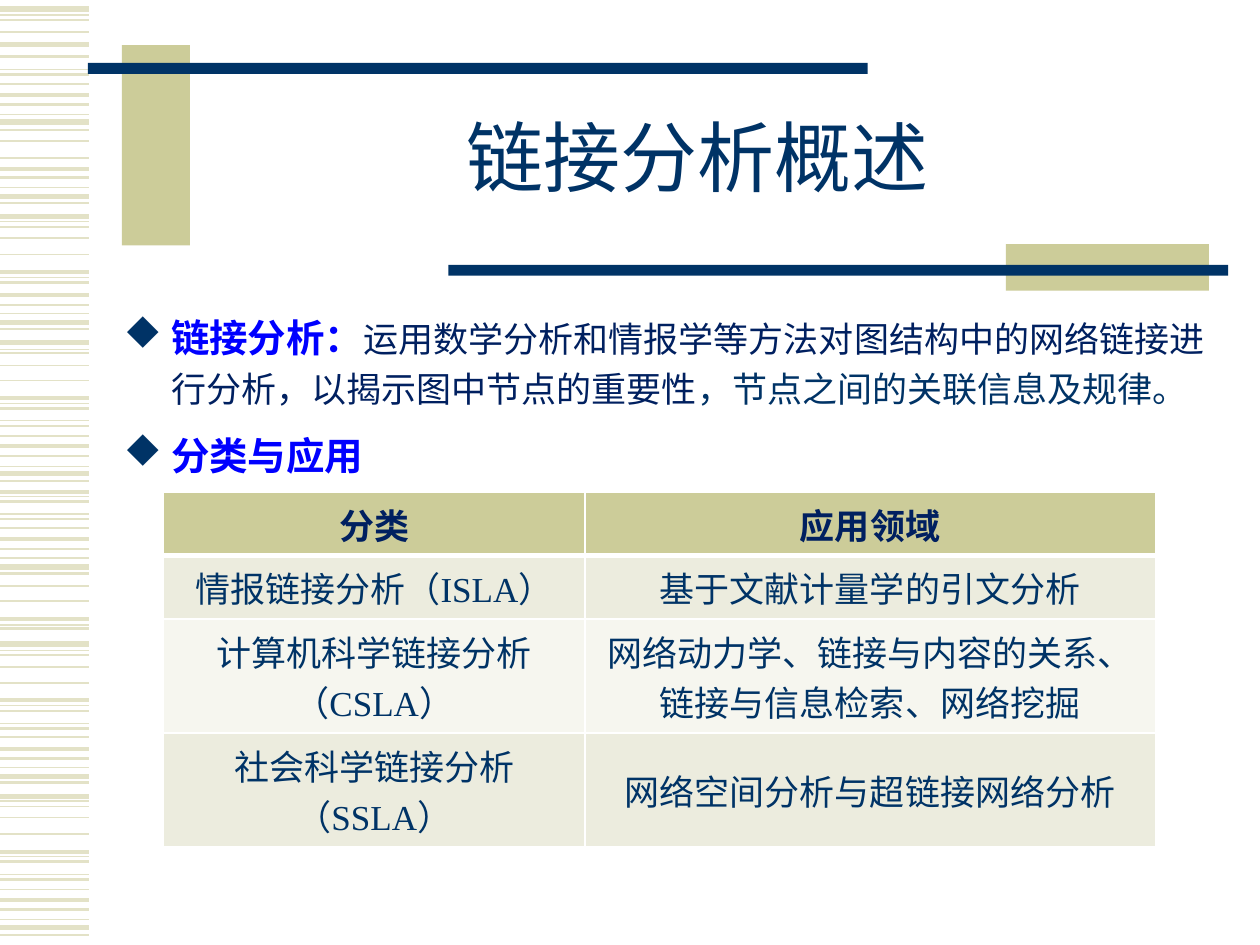
import pptx
import pptx.util
import pptx.dml.color
import pptx.enum.shapes
import pptx.enum.text
import pptx.oxml.ns
from lxml import etree

Cm = pptx.util.Cm
Pt = pptx.util.Pt
qn = pptx.oxml.ns.qn
CENTER = pptx.enum.text.PP_ALIGN.CENTER
MIDDLE = pptx.enum.text.MSO_ANCHOR.MIDDLE

FONT = "Times New Roman"
BULLET_FONT = "Wingdings"
DIAMOND = "u"
COLORS = {
    "navy": "003366",
    "dark": "002060",
    "blue": "0000FF",
    "khaki": "CCCC99",
    "stripe": "E3E2C7",
    "odd row": "ECECDE",
    "even row": "F6F6EF",
    "border": "FFFFFF",
}

STRIPES_BY_WEIGHT = {
    3: [0.18, 0.89, 2.46, 3.96, 4.37, 6.5, 6.91, 9.55, 11.43, 12.98, 15.65, 16.05, 18.69],
    2.25: [1.91, 3.4, 5.49, 5.94, 8.03, 8.99, 9.91, 10.87, 12.47, 14.12, 15.09, 17.17, 18.14],
    1.5: [1.14, 1.5, 2.11, 2.62, 3.58, 4.09, 5.69, 6.15, 6.63, 8.23, 8.59, 9.19, 9.7,
          10.11, 10.46, 11.07, 11.56, 12.67, 14.33, 14.68, 15.29, 15.77, 17.37, 17.73,
          18.34, 18.85],
    1: [0.41, 0.64, 1.7, 2.84, 3.18, 4.57, 4.8, 5.13, 7.11, 7.37, 7.67, 8.79, 10.64,
        11.81, 12.12, 13.21, 13.44, 13.77, 14.86, 16.26, 16.48, 16.81, 17.93],
    0.75: [0.3, 1.4, 2.31, 3.78, 4.47, 5.59, 6.32, 7.04, 8.13, 8.48, 9.4, 10.01, 10.36,
           11.25, 12.6, 13.11, 14.22, 14.58, 15.47, 16.15, 17.27, 17.63, 18.54],
}

BARS = [
    ("khaki", 2.46, 0.91, 1.37, 4.04),
    ("navy", 1.77, 1.27, 15.72, 0.22),
    ("khaki", 20.28, 4.92, 4.09, 0.94),
    ("navy", 9.04, 5.34, 15.72, 0.22),
]

BULLETS = [
    [
        ("链接分析：", 22, "blue", True),
        ("运用数学分析和情报学等方法对图结构中的网络链接进行分析，以揭示图中节点的重要性", 20, "dark", False),
        ("，节点之间的关联信息及规律。", 20, "navy", False),
    ],
    [("分类与应用", 22, "blue", True)],
]

TABLE_ROWS = [
    ("分类", "应用领域"),
    ("情报链接分析（ISLA）", "基于文献计量学的引文分析"),
    ("计算机科学链接分析（CSLA）", "网络动力学、链接与内容的关系、链接与信息检索、网络挖掘"),
    ("社会科学链接分析（SSLA）", "网络空间分析与超链接网络分析"),
]
COLUMN_WIDTHS = [8.49, 11.5]
ROW_HEIGHTS = [1.27, 1.28, 2.3, 2.3]


def color(name):
    return pptx.dml.color.RGBColor.from_string(COLORS[name])


def style_span(span, size, color_name, bold=False):
    span.font.name = FONT
    span.font.size = Pt(size)
    span.font.bold = bold
    span.font.color.rgb = color(color_name)


def add_stripe(page, top, weight):
    stripe = page.shapes.add_connector(
        pptx.enum.shapes.MSO_CONNECTOR.STRAIGHT, 0, Cm(top), Cm(1.8), Cm(top))
    stripe.line.color.rgb = color("stripe")
    stripe.line.width = Pt(weight)
    etree.SubElement(stripe.element.spPr, qn("a:effectLst"))


def add_bar(page, color_name, *place):
    bar = page.shapes.add_shape(
        pptx.enum.shapes.MSO_SHAPE.RECTANGLE, *map(Cm, place))
    bar.shadow.inherit = False
    bar.fill.solid()
    bar.fill.fore_color.rgb = color(color_name)
    bar.line.fill.background()


def add_text_box(page, *place):
    box = page.shapes.add_textbox(*map(Cm, place))
    box.text_frame.word_wrap = True
    return box.text_frame


def add_title(page, text):
    frame = add_text_box(page, 3.81, 1.7, 20.5, 3.18)
    frame.vertical_anchor = MIDDLE
    frame.text = text
    paragraph = frame.paragraphs[0]
    paragraph.alignment = CENTER
    paragraph.line_spacing = 0.85
    style_span(paragraph.runs[0], 44, "navy")


def set_bullet(paragraph):
    properties = paragraph._p.get_or_add_pPr()
    properties.set("marL", str(Cm(0.95)))
    properties.set("indent", str(-Cm(0.95)))
    bullet_color = etree.SubElement(properties, qn("a:buClr"))
    etree.SubElement(bullet_color, qn("a:srgbClr"), val=COLORS["navy"])
    etree.SubElement(properties, qn("a:buFont"), typeface=BULLET_FONT, charset="2")
    etree.SubElement(properties, qn("a:buChar"), char=DIAMOND)


def add_bullets(page, bullets):
    frame = add_text_box(page, 2.25, 6.15, 22.66, 3.7)
    for index, pieces in enumerate(bullets):
        paragraph = frame.add_paragraph() if index else frame.paragraphs[0]
        paragraph.line_spacing = Pt(28)
        paragraph.space_before = Pt(11.5 if index else 4)
        set_bullet(paragraph)
        for text, size, color_name, bold in pieces:
            span = paragraph.add_run()
            span.text = text
            style_span(span, size, color_name, bold)


def set_borders(cell, weights):
    properties = cell._tc.get_or_add_tcPr()
    for index, (side, weight) in enumerate(weights.items()):
        border = etree.Element(qn("a:ln" + side), w=str(Pt(weight)))
        fill = etree.SubElement(border, qn("a:solidFill"))
        etree.SubElement(fill, qn("a:srgbClr"), val=COLORS["border"])
        properties.insert(index, border)


def fill_cell(cell, text, row):
    header = row == 0
    fill_name = "khaki" if header else ("odd row" if row % 2 else "even row")
    cell.fill.solid()
    cell.fill.fore_color.rgb = color(fill_name)
    cell.vertical_anchor = MIDDLE
    cell.text_frame.text = text
    paragraph = cell.text_frame.paragraphs[0]
    paragraph.alignment = CENTER
    paragraph.space_before = Pt(4)
    paragraph.space_after = Pt(6)
    style_span(paragraph.runs[0], 20, "dark" if header else "navy", header)
    set_borders(cell, {"L": 1, "R": 1, "T": 3 if row == 1 else 1, "B": 3 if header else 1})


def add_category_table(page, rows):
    table = page.shapes.add_table(
        len(rows), len(COLUMN_WIDTHS), Cm(3.3), Cm(9.93),
        Cm(sum(COLUMN_WIDTHS)), Cm(sum(ROW_HEIGHTS))).table
    for column, width in zip(table.columns, COLUMN_WIDTHS):
        column.width = Cm(width)
    for index, texts in enumerate(rows):
        table.rows[index].height = Cm(ROW_HEIGHTS[index])
        for cell, text in zip(table.rows[index].cells, texts):
            fill_cell(cell, text, index)


def main():
    deck = pptx.Presentation()
    deck.slide_width = Cm(25.4)
    deck.slide_height = Cm(19.05)
    page = deck.slides.add_slide(deck.slide_layouts[6])
    for weight, tops in STRIPES_BY_WEIGHT.items():
        for top in tops:
            add_stripe(page, top, weight)
    for bar in BARS:
        add_bar(page, *bar)
    add_title(page, "链接分析概述")
    add_bullets(page, BULLETS)
    add_category_table(page, TABLE_ROWS)
    deck.save("out.pptx")


if __name__ == "__main__":
    main()
